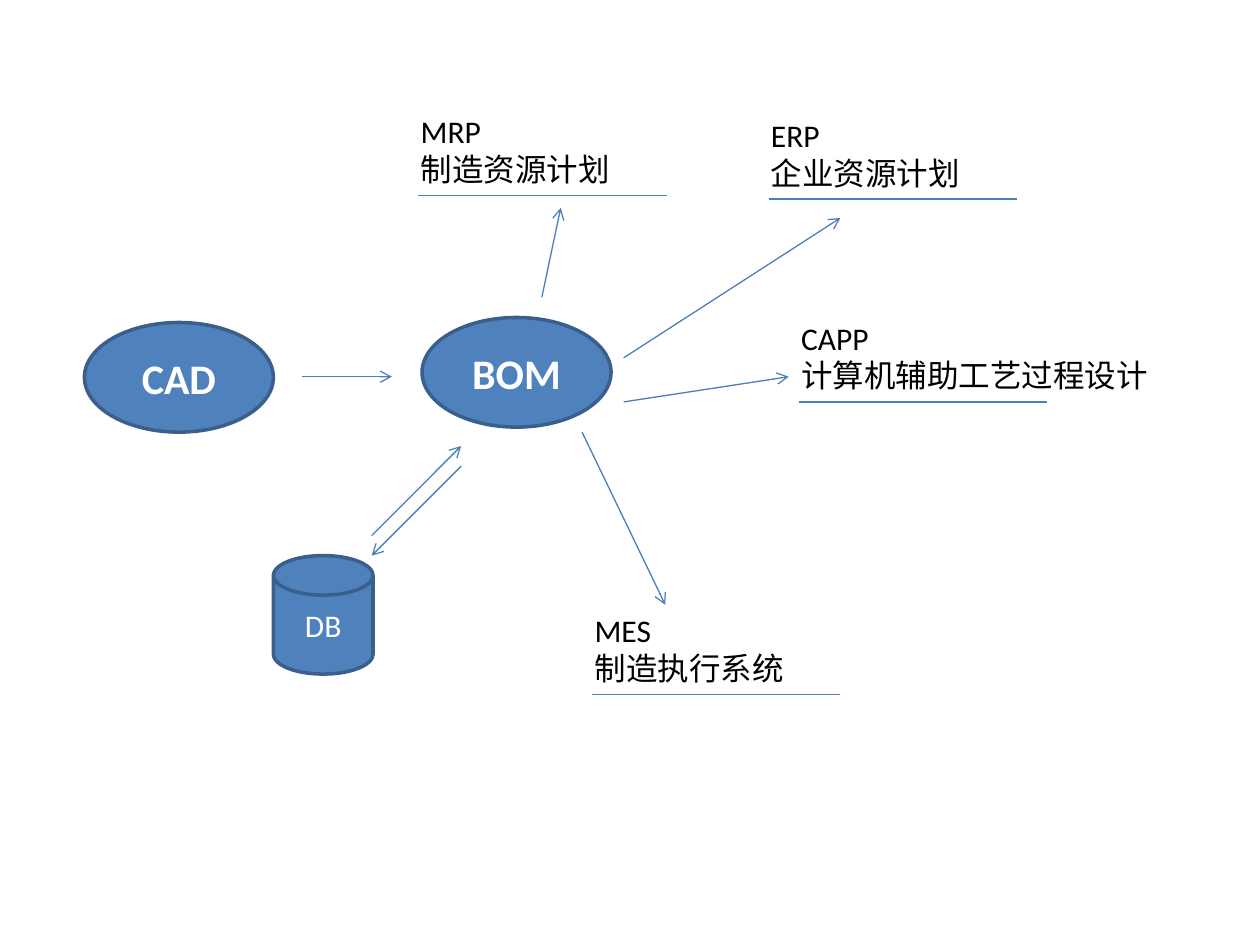
from dataclasses import dataclass

from lxml import etree
from pptx import Presentation
from pptx.dml.color import RGBColor
from pptx.enum.shapes import MSO_CONNECTOR, MSO_SHAPE
from pptx.enum.text import MSO_ANCHOR, MSO_AUTO_SIZE, PP_ALIGN
from pptx.oxml.ns import qn
from pptx.util import Pt

STRAIGHT = MSO_CONNECTOR.STRAIGHT
ELLIPSE = MSO_SHAPE.OVAL
DISK = MSO_SHAPE.FLOWCHART_MAGNETIC_DISK
MIDDLE = MSO_ANCHOR.MIDDLE
CENTER = PP_ALIGN.CENTER
FIT_SHAPE = MSO_AUTO_SIZE.SHAPE_TO_FIT_TEXT
EMU_PER_PX = 9144  # 100 px to the inch


@dataclass(frozen=True)
class Theme:
    font: str = "Calibri"
    text: RGBColor = RGBColor(0x00, 0x00, 0x00)
    node_text: RGBColor = RGBColor(0xFF, 0xFF, 0xFF)
    node_fill: RGBColor = RGBColor(0x4F, 0x81, 0xBD)
    node_line: RGBColor = RGBColor(0x3A, 0x5F, 0x8C)
    connector: RGBColor = RGBColor(0x4B, 0x7E, 0xBC)
    title_size: int = 24
    body_size: int = 18
    node_line_width: float = 2
    connector_width: float = 0.75


THEME = Theme()

# text, preset, box (left, top, width, height), type size, bold
NODES = [
    ("BOM", ELLIPSE, (335, 252, 150, 87), THEME.title_size, True),
    ("CAD", ELLIPSE, (67, 256, 150, 87), THEME.title_size, True),
    ("DB", DISK, (217, 441, 79, 94), THEME.body_size, False),
]

# acronym, meaning, box
SYSTEMS = [
    ("MRP", "制造资源计划", (324, 84, 172, 71)),
    ("ERP", "企业资源计划", (602, 87, 172, 71)),
    ("CAPP", "计算机辅助工艺过程设计", (626, 248, 298, 71)),
    ("MES", "制造执行系统", (462, 480, 172, 71)),
]
UNDERLINE_INDENT = 8
UNDERLINE_LENGTH = 197

# start, end
FLOWS = [
    ((240, 299), (311, 299)),  # CAD to BOM
    ((430, 236), (445, 165)),  # BOM to MRP
    ((495, 284), (667, 173)),  # BOM to ERP
    ((495, 319), (626, 299)),  # BOM to CAPP
    ((462, 343), (528, 480)),  # BOM to MES
    ((295, 425), (366, 354)),  # DB to BOM
    ((366, 370), (295, 441)),  # BOM to DB
]


def px(*lengths):
    return [length * EMU_PER_PX for length in lengths]


def style_paragraph(paragraph, text, size, color, bold=False):
    paragraph.text = text
    font = paragraph.font
    font.name = THEME.font
    font.size = Pt(size)
    font.bold = bold
    font.color.rgb = color


def add_line(slide, start, end, arrow=False):
    line = slide.shapes.add_connector(STRAIGHT, *px(*start, *end))
    line.line.color.rgb = THEME.connector
    line.line.width = Pt(THEME.connector_width)
    if arrow:
        outline = line.line._get_or_add_ln()
        etree.SubElement(outline, qn("a:tailEnd"), type="arrow")
    properties = line._element.spPr
    etree.SubElement(properties, qn("a:effectLst"))


def add_node(slide, text, preset, box, size, bold):
    shape = slide.shapes.add_shape(preset, *px(*box))
    shape.shadow.inherit = False
    shape.fill.solid()
    shape.fill.fore_color.rgb = THEME.node_fill
    shape.line.color.rgb = THEME.node_line
    shape.line.width = Pt(THEME.node_line_width)
    frame = shape.text_frame
    frame.vertical_anchor = MIDDLE
    paragraph = frame.paragraphs[0]
    paragraph.alignment = CENTER
    style_paragraph(paragraph, text, size, THEME.node_text, bold)


def add_system(slide, acronym, meaning, box):
    """Two-line label with a rule of fixed length along its bottom edge."""
    left, top, _, height = box
    rule_left, rule_top = left + UNDERLINE_INDENT, top + height
    add_line(slide, (rule_left, rule_top), (rule_left + UNDERLINE_LENGTH, rule_top))
    frame = slide.shapes.add_textbox(*px(*box)).text_frame
    frame.word_wrap = False
    frame.auto_size = FIT_SHAPE
    style_paragraph(frame.paragraphs[0], acronym, THEME.body_size, THEME.text)
    style_paragraph(frame.add_paragraph(), meaning, THEME.body_size, THEME.text)


def main():
    presentation = Presentation()
    presentation.slide_width, presentation.slide_height = px(1000, 750)
    slide = presentation.slides.add_slide(presentation.slide_layouts[6])
    for node in NODES:
        add_node(slide, *node)
    for system in SYSTEMS:
        add_system(slide, *system)
    for start, end in FLOWS:
        add_line(slide, start, end, arrow=True)
    presentation.save("out.pptx")


if __name__ == "__main__":
    main()
